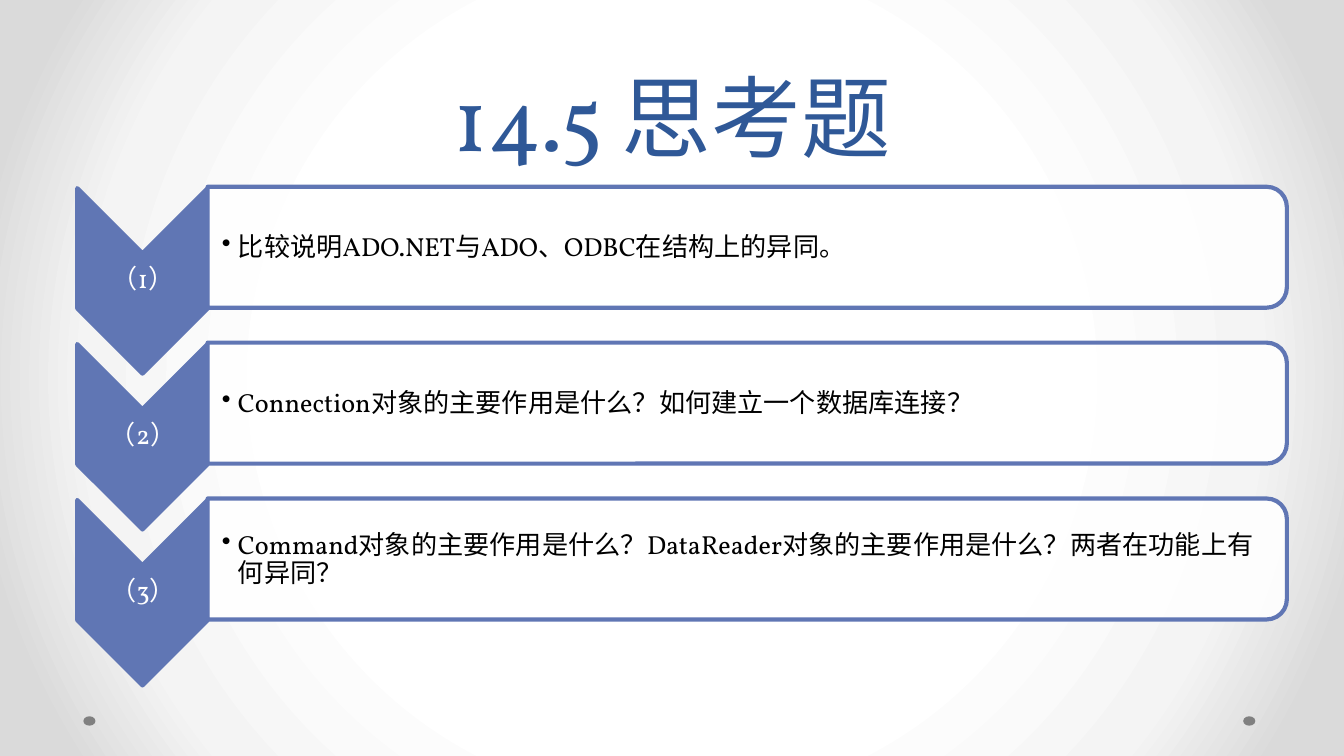
"""Builds the slide of three review questions, each with a numbered chevron."""
from lxml import etree
from pptx import Presentation
from pptx.dml.color import RGBColor
from pptx.enum.shapes import MSO_SHAPE
from pptx.enum.text import MSO_ANCHOR, MSO_AUTO_SIZE, PP_ALIGN
from pptx.oxml.ns import qn
from pptx.util import Inches, Pt

CHEVRON, BAR, DOT = MSO_SHAPE.CHEVRON, MSO_SHAPE.ROUND_2_SAME_RECTANGLE, MSO_SHAPE.OVAL
MIDDLE, BOTTOM = MSO_ANCHOR.MIDDLE, MSO_ANCHOR.BOTTOM
LEFT, CENTER = PP_ALIGN.LEFT, PP_ALIGN.CENTER
NO_FIT = MSO_AUTO_SIZE.NONE

COLORS = {"title": "2F5897", "accent": "6076B4", "white": "FFFFFF", "text": "000000", "dot": "808080"}
BACKGROUND = [(50, "FFFFFF"), (76, "F4F4F4"), (92, "DADADA")]
FONT = "Vollkorn"
QUESTIONS = [
    "比较说明ADO.NET与ADO、ODBC在结构上的异同。",
    "Connection对象的主要作用是什么？如何建立一个数据库连接？",
    "Command对象的主要作用是什么？DataReader对象的主要作用是什么？两者在功能上有何异同？",
]
FIRST_ROW, ROW_STEP = 1.39, 1.16


def add_turned(kind, center_x, center_y, length, breadth, fill):
    shape = page.shapes.add_shape(kind, Inches(center_x - length / 2), Inches(center_y - breadth / 2),
                                  Inches(length), Inches(breadth))
    shape.rotation = 90
    shape.shadow.inherit = False
    shape.fill.solid()
    shape.fill.fore_color.rgb = RGBColor.from_string(COLORS[fill])
    shape.line.color.rgb = RGBColor.from_string(COLORS["accent"])
    shape.line.width = Pt(2.25)
    etree.SubElement(shape.line._get_or_add_ln(), qn("a:round"))
    return shape


def add_label(left, top, width, height, words, color, align, inset, space_after):
    box = page.shapes.add_textbox(Inches(left), Inches(top), Inches(width), Inches(height))
    frame = box.text_frame
    frame.word_wrap = True
    frame.vertical_anchor = MIDDLE
    frame.margin_left = Inches(inset)
    frame.margin_right = frame.margin_top = frame.margin_bottom = Inches(0.01)
    para = frame.paragraphs[0]
    para.alignment = align
    para.line_spacing = 0.9
    para.space_after = Pt(space_after)
    span = para.add_run()
    span.text = words
    span.font.name = FONT
    span.font.size = Pt(14)
    span.font.color.rgb = RGBColor.from_string(COLORS[color])
    return para


deck = Presentation()
deck.slide_width = Inches(10)
deck.slide_height = deck.slide_width * 9 // 16
page = deck.slides.add_slide(deck.slide_layouts[5])

page.background.fill.gradient()
gradient = page.element.find(".//" + qn("a:gradFill"))
for child in list(gradient):
    gradient.remove(child)
stops = etree.SubElement(gradient, qn("a:gsLst"))
for position, color in BACKGROUND:
    stop = etree.SubElement(stops, qn("a:gs"), pos=str(position * 1000))
    etree.SubElement(stop, qn("a:srgbClr"), val=color)
circle = etree.SubElement(gradient, qn("a:path"), path="circle")
etree.SubElement(circle, qn("a:fillToRect"), l="50000", t="50000", r="50000", b="50000")

for dot_left in (0.62, 9.25):
    dot = page.shapes.add_shape(DOT, Inches(dot_left), Inches(5.33), Inches(0.09), Inches(0.07))
    dot.shadow.inherit = False
    dot.fill.solid()
    dot.fill.fore_color.rgb = RGBColor.from_string(COLORS["dot"])
    dot.line.fill.background()

title = page.shapes.title
title.left, title.top, title.width, title.height = Inches(0.5), 0, Inches(9), Inches(1.31)
title.text_frame.auto_size = NO_FIT
title.text_frame.vertical_anchor = BOTTOM
heading = title.text_frame.paragraphs[0]
heading.alignment = CENTER
heading.line_spacing = Pt(58)
span = heading.add_run()
span.text = "14.5 思考题"
span.font.name = FONT
span.font.size = Pt(48)
span.font.color.rgb = RGBColor.from_string(COLORS["title"])

for row, question in enumerate(QUESTIONS):
    top = FIRST_ROW + row * ROW_STEP
    add_turned(CHEVRON, 1.06, top + 0.7, 1.38, 0.97, "accent")
    add_label(0.58, top + 0.49, 0.97, 0.41, f"（{row + 1}）", "white", CENTER, 0.01, 4.9)

    bar = add_turned(BAR, 5.56, top + 0.45, 0.9, 8.03, "white")
    bar_color = bar.fill._xPr.find(qn("a:solidFill"))[0]
    etree.SubElement(bar_color, qn("a:alpha"), val="90000")

    para = add_label(1.54, top + 0.05, 7.99, 0.81, question, "text", LEFT, 0.11, 2.1)
    para.level = 1
    properties = para._p.get_or_add_pPr()
    properties.set("marL", str(Inches(0.12)))
    properties.set("indent", str(Inches(-0.12)))
    etree.SubElement(properties, qn("a:buChar"), char="•")

deck.save("out.pptx")
